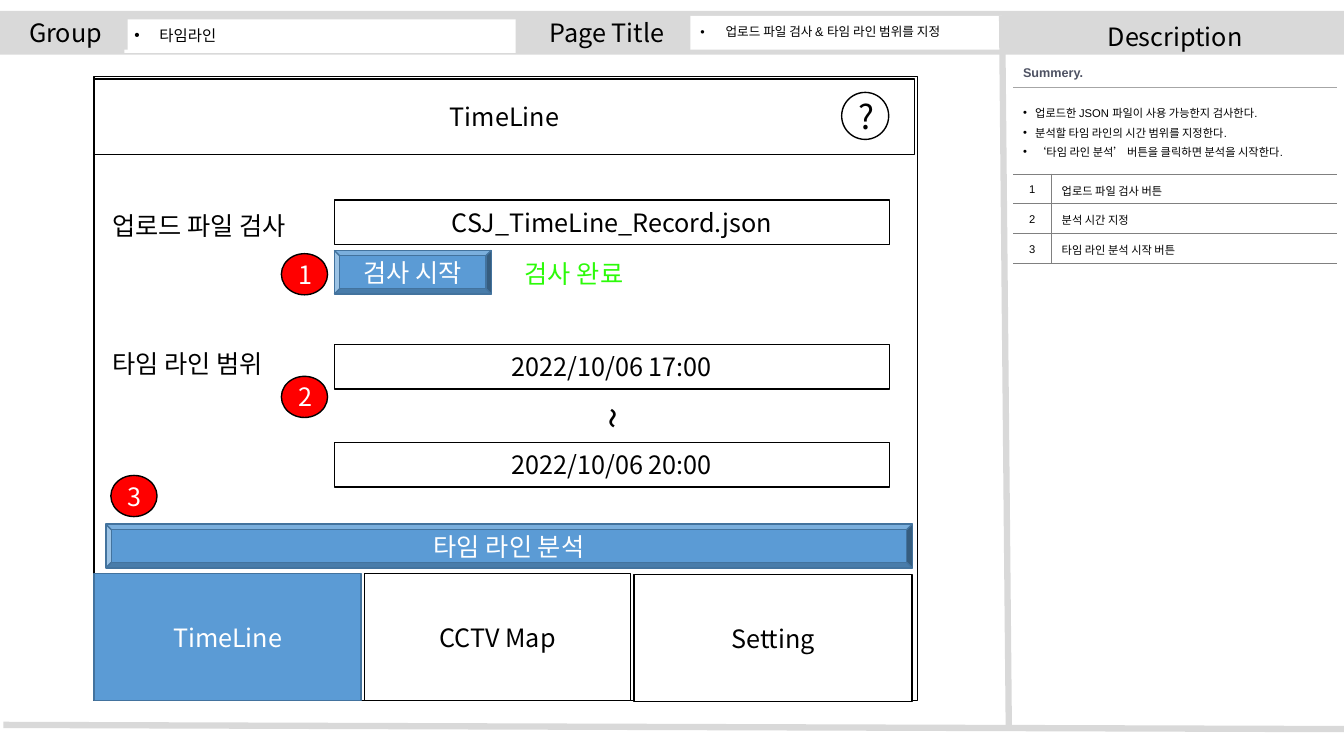
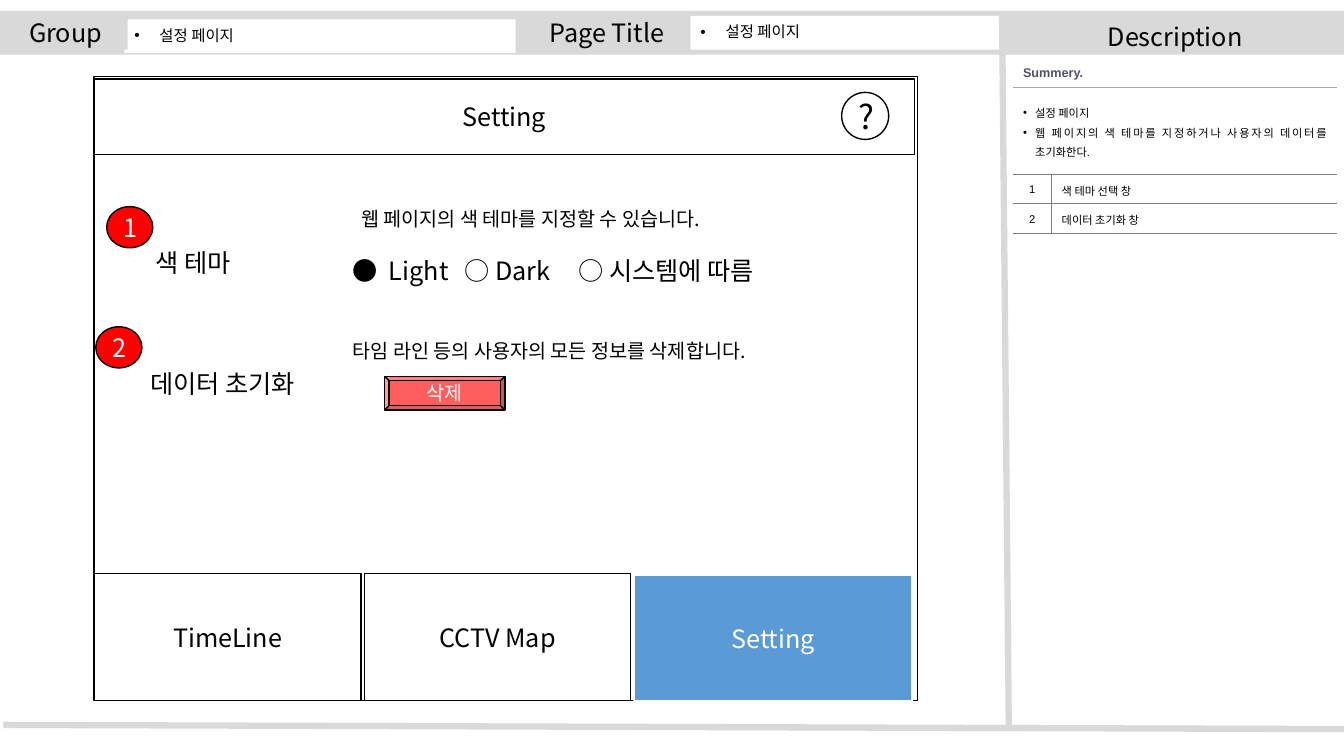
import pptx
import pptx.util
import pptx.dml.color
import pptx.enum.shapes
import pptx.enum.text
import pptx.oxml.ns
import lxml.etree

HUES = {"band": "D9D9D9", "white": "FFFFFF", "black": "000000", "blue": "5B9BD5",
        "navy": "43739E", "red": "FF0000", "green": "2CFB09", "slate": "4E5263",
        "gray": "808080", "pale": "A6A6A6"}
SANS, ARIAL = "Noto Sans CJK KR", "Arial"
COLS, ROWS = 160, 90
FORMS = pptx.enum.shapes.MSO_SHAPE
ALIGN = pptx.enum.text.PP_ALIGN
MID = pptx.enum.text.MSO_ANCHOR.MIDDLE
TABS = ("TimeLine", "CCTV Map", "Setting")
TAB_BOXES = ((11.2, 68.3, 31.8, 15.1), (43.4, 68.3, 31.7, 15.1), (75.5, 68.4, 33.1, 15.1))


def hue(name):
    return pptx.dml.color.RGBColor.from_string(HUES[name])


def node(root, tag, **props):
    item = lxml.etree.SubElement(root, pptx.oxml.ns.qn("a:" + tag))
    for key, value in props.items():
        item.set(key, str(value))
    return item


class Deck:
    """Draws wireframe parts on a grid of 160 columns by 90 rows."""

    def __init__(self):
        self.show = pptx.Presentation()
        self.show.slide_width = pptx.util.Inches(13.333)
        self.show.slide_height = pptx.util.Inches(7.5)
        self.slide = None

    def page(self):
        self.slide = self.show.slides.add_slide(self.show.slide_layouts[6])

    def span(self, place):
        wide, high = self.show.slide_width / COLS, self.show.slide_height / ROWS
        return [int(n * (high if i % 2 else wide)) for i, n in enumerate(place)]

    def put(self, para, words, size=18, ink="black", font=SANS, bold=False,
            align=None, space=None, before=None, bullet=None, stops=()):
        para.alignment = align
        if space:
            para.line_spacing = space
        if before:
            para.space_before = pptx.util.Pt(before)
        props = para._p.get_or_add_pPr()
        if bullet:
            inset = pptx.util.Inches(bullet)
            props.set("marL", str(inset))
            props.set("indent", str(-inset))
            node(props, "buFont", typeface=ARIAL)
            node(props, "buChar", char="•")
        if stops:
            tabs = node(props, "tabLst")
            for stop in stops:
                node(tabs, "tab", pos=pptx.util.Inches(stop), algn="l")
        run = para.add_run()
        run.text = words
        run.font.size = pptx.util.Pt(size)
        run.font.bold = bold
        run.font.name = font
        run.font.color.rgb = hue(ink)
        node(run._r.get_or_add_rPr(), "ea", typeface=SANS)

    def box(self, place, words="", fill="white", edge=None, form=FORMS.RECTANGLE,
            width=1, alpha=None, align=ALIGN.CENTER, **style):
        shape = self.slide.shapes.add_shape(form, *self.span(place))
        shape.shadow.inherit = False
        shape.fill.solid()
        shape.fill.fore_color.rgb = hue(fill)
        if alpha:
            paint = shape._element.spPr.find(".//" + pptx.oxml.ns.qn("a:srgbClr"))
            node(paint, "alpha", val=alpha * 1000)
        if edge:
            shape.line.color.rgb = hue(edge)
            shape.line.width = pptx.util.Pt(width)
        else:
            shape.line.fill.background()
        if words:
            shape.text_frame.vertical_anchor = MID
            self.put(shape.text_frame.paragraphs[0], words, align=align, **style)

    def text(self, place, words, turn=0, **style):
        label = self.slide.shapes.add_textbox(*self.span(place))
        label.rotation = turn
        frame = label.text_frame
        frame.word_wrap = True
        frame.auto_size = pptx.enum.text.MSO_AUTO_SIZE.SHAPE_TO_FIT_TEXT
        self.put(frame.paragraphs[0], words, **style)

    def line(self, *ends):
        kind = pptx.enum.shapes.MSO_CONNECTOR.STRAIGHT
        rule = self.slide.shapes.add_connector(kind, *self.span(ends))
        rule.line.color.rgb = hue("band")
        rule.line.width = pptx.util.Pt(4.5)
        node(rule._element.spPr, "effectLst")

    def field(self, place, words, size=11):
        self.box(place, words, size=size, font=ARIAL, align=ALIGN.LEFT,
                 space=0.9, before=10, bullet=0.25)

    def button(self, place, words, fill="blue", edge="navy", **style):
        self.box(place, words, fill, edge, FORMS.BEVEL, ink="white", **style)

    def marks(self, *spots):
        for count, (col, row) in enumerate(spots, 1):
            self.box((col, row, 5.5, 4.9), str(count), "red", "black", FORMS.OVAL, ink="white")

    def cell(self, cell, **edges):
        cell.vertical_anchor = MID
        props = cell._tc.get_or_add_tcPr()
        for side in "LRTB":
            rule = node(props, "ln" + side, w=pptx.util.Pt(0.25))
            if side in edges:
                node(node(rule, "solidFill"), "srgbClr", val=HUES[edges[side]])
            else:
                node(rule, "noFill")
        cell.fill.solid()
        cell.fill.fore_color.rgb = hue("white")

    def table(self, points, items):
        highs = [3.4, 10.3] + [3.2] * len(items)
        frame = self.slide.shapes.add_table(
            len(highs), 2, *self.span((120.6, 7, 38.6, sum(highs))))
        grid = frame.table
        grid.first_row = grid.horz_banding = False
        for col, wide in zip(grid.columns, self.span((4.6, 0, 34))[::2]):
            col.width = wide
        for row, high in zip(grid.rows, highs):
            row.height = self.span((0, high))[1]
        for row in (0, 1):
            grid.cell(row, 0).merge(grid.cell(row, 1))
            for col in (0, 1):
                edges = {"B": "pale"} if row == 0 else {"T": "pale", "B": "gray"}
                self.cell(grid.cell(row, col), **edges)
        self.put(grid.cell(0, 0).text_frame.paragraphs[0], "Summery.",
                 size=9, font=ARIAL, ink="slate", bold=True)
        small = {"size": 8, "font": ARIAL, "space": 1.2}
        notes = grid.cell(1, 0).text_frame
        for i, point in enumerate(points):
            para = notes.add_paragraph() if i else notes.paragraphs[0]
            self.put(para, point, align=ALIGN.JUSTIFY, bullet=0.12, **small)
        for row, item in enumerate(items, 2):
            left, right = grid.cell(row, 0), grid.cell(row, 1)
            self.cell(left, T="gray", R="gray", B="gray")
            self.cell(right, T="gray", L="gray", B="gray")
            self.put(left.text_frame.paragraphs[0], str(row - 1), align=ALIGN.CENTER, **small)
            self.put(right.text_frame.paragraphs[0], item, align=ALIGN.JUSTIFY, **small)

    def screen(self, group, title, size, points, items, active, edge, width):
        self.page()
        self.box((0, 1.3, 160, 5.2), fill="band")
        self.box((62.3, 1.9, 19.9, 4), "Page Title", "band")
        self.field((14.8, 2.3, 46.6, 4), group)
        self.box((0.4, 1.9, 14.8, 4), "Group", "band")
        self.field((82.2, 1.9, 37.1, 4), title, size)
        self.line(119.3, 1.9, 120.1, 86.8)
        self.line(0.4, 86.3, 160, 86.8)
        self.box((119.8, 2.3, 40.2, 4), "Description", "band")
        self.table(points, items)
        self.box((11.2, 9.1, 98, 74.3), edge="black")
        self.box((11.2, 9.4, 97.7, 9), active, edge="black")
        self.box((100.2, 11, 5.6, 5.6), "?", edge="black", form=FORMS.OVAL, size=24)
        for place, name in zip(TAB_BOXES, TABS):
            if name == active:
                self.box(place, name, "blue", edge, width=width, ink="white")
            else:
                self.box(place, name, edge="black")


deck = Deck()
deck.screen("타임라인", "업로드 파일 검사 & 타임 라인 범위를 지정", 9,
            ["업로드한 JSON 파일이 사용 가능한지 검사한다.",
             "분석할 타임 라인의 시간 범위를 지정한다.",
             "‘타임 라인 분석’ 버튼을 클릭하면 분석을 시작한다."],
            ["업로드 파일 검사 버튼", "분석 시간 지정", "타임 라인 분석 시작 버튼"],
            "TimeLine", "navy", 1)
deck.marks((33.5, 30.2), (33.5, 44.8), (13.2, 56.6))
for row, words in ((24.4, "업로드 파일 검사"), (40.9, "타임 라인 범위")):
    deck.text((12.2, row, 27.5, 4.8), words)
for row, words in ((23.8, "CSJ_TimeLine_Record.json"), (41, "2022/10/06 17:00"),
                   (52.7, "2022/10/06 20:00")):
    deck.box((39.8, row, 66.1, 5.3), words, edge="black")
deck.button((39.8, 29.8, 18.7, 5.2), "검사 시작")
deck.text((70.2, 46.2, 5.3, 6.8), "~", turn=270, size=28)
deck.text((61.3, 30.2, 28.6, 4.8), "검사 완료", ink="green")
deck.button((12.6, 62.4, 96, 5.2), "타임 라인 분석")

deck.screen("설정 페이지", "설정 페이지", 11,
            ["설정 페이지",
             "웹 페이지의 색 테마를 지정하거나 사용자의 데이터를 초기화한다."],
            ["색 테마 선택 창", "데이터 초기화 창"],
            "Setting", "white", 1.5)
deck.marks((12.7, 24.6), (11.4, 38.9))
deck.text((17.3, 28.9, 18.2, 4.8), "색 테마")
deck.text((16.7, 43.2, 24.1, 4.8), "데이터 초기화")
deck.text((40.8, 29.8, 57.2, 4.8), "●\tLight\t○ Dark\t○ 시스템에 따름",
          stops=(0.36, 1.11, 2.24))
deck.text((40.8, 39.8, 57.2, 4.1), "타임 라인 등의 사용자의 모든 정보를 삭제합니다.", size=14)
deck.button((45.8, 44.8, 14.3, 4), "삭제", "red", "black", alpha=63, size=14)
deck.text((41.8, 24.1, 57.2, 4.1), "웹 페이지의 색 테마를 지정할 수 있습니다.", size=14)
deck.show.save("out.pptx")
